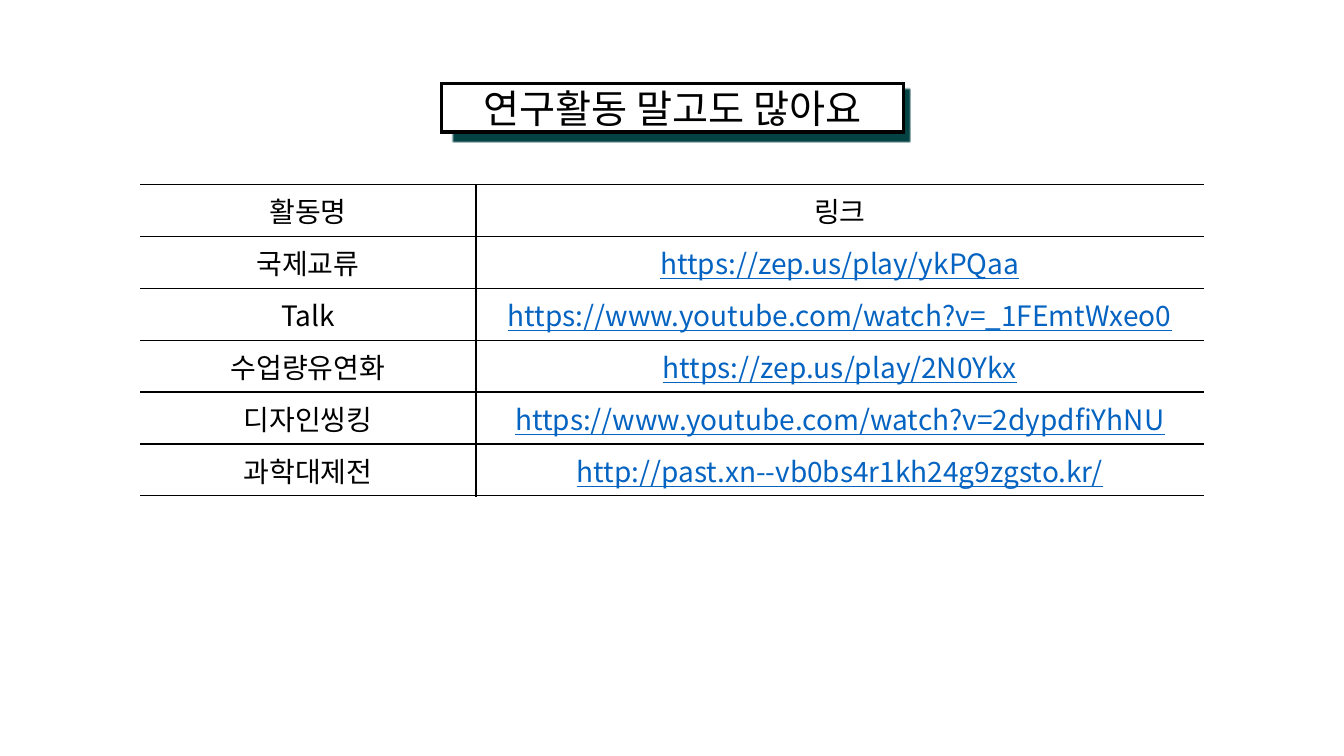
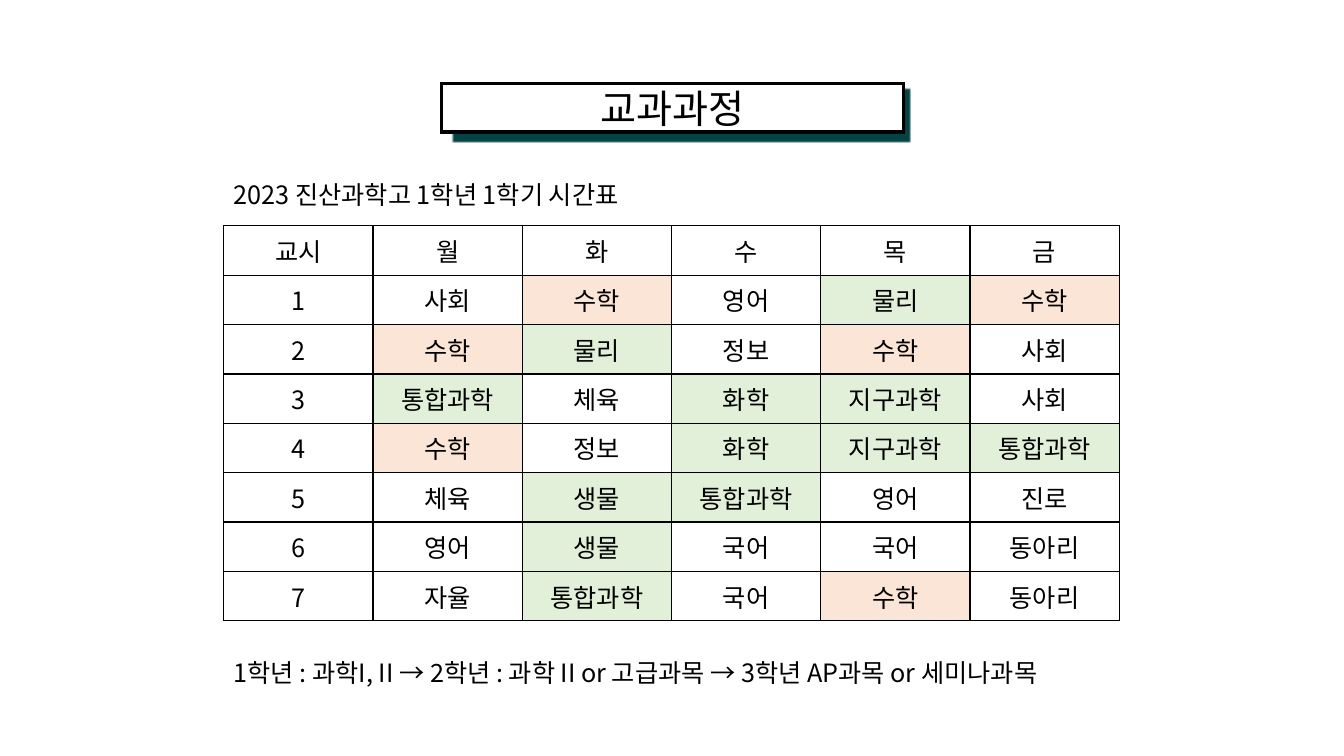
from lxml import etree
from pptx import Presentation
from pptx import util as u
from pptx.dml.color import RGBColor
from pptx.enum import shapes, text
from pptx.oxml import parse_xml
from pptx.oxml.ns import nsdecls, qn

# Shared style
FONT = "Noto Sans CJK KR"
BLACK = RGBColor(0x00, 0x00, 0x00)
WHITE = RGBColor(0xFF, 0xFF, 0xFF)
TITLE_LINE = RGBColor(0x01, 0x01, 0x02)
TITLE_SHADOW = RGBColor(0x05, 0x43, 0x44)
LINK_BLUE = RGBColor(0x05, 0x63, 0xC1)
MATH_PEACH = RGBColor(0xFB, 0xE5, 0xD6)
SCIENCE_GREEN = RGBColor(0xE2, 0xF0, 0xD9)
SIDES = ("L", "R", "T", "B")

# Slide content
ACTIVITIES = [
    ("활동명", "링크"),
    ("국제교류", "https://zep.us/play/ykPQaa"),
    ("Talk", "https://www.youtube.com/watch?v=_1FEmtWxeo0"),
    ("수업량유연화", "https://zep.us/play/2N0Ykx"),
    ("디자인씽킹", "https://www.youtube.com/watch?v=2dypdfiYhNU"),
    ("과학대제전", "http://past.xn--vb0bs4r1kh24g9zgsto.kr/"),
]
TIMETABLE = [
    ("교시", "월", "화", "수", "목", "금"),
    ("1", "사회", "수학", "영어", "물리", "수학"),
    ("2", "수학", "물리", "정보", "수학", "사회"),
    ("3", "통합과학", "체육", "화학", "지구과학", "사회"),
    ("4", "수학", "정보", "화학", "지구과학", "통합과학"),
    ("5", "체육", "생물", "통합과학", "영어", "진로"),
    ("6", "영어", "생물", "국어", "국어", "동아리"),
    ("7", "자율", "통합과학", "국어", "수학", "동아리"),
]
SUBJECT_FILLS = {"수학": MATH_PEACH}
SUBJECT_FILLS.update(dict.fromkeys(
    ("물리", "화학", "생물", "지구과학", "통합과학"), SCIENCE_GREEN))


def write(frame, content, size, align=text.PP_ALIGN.LEFT, color=BLACK):
    """Put one formatted paragraph into a text frame."""
    frame.text = content
    para = frame.paragraphs[0]
    para.alignment = align
    span = para.runs[0]
    span.font.size = u.Pt(size)
    span.font.name = FONT
    span.font.color.rgb = color
    east_asian = etree.SubElement(span.font._element, qn("a:ea"))
    east_asian.set("typeface", FONT)
    return span


def add_page(deck, title):
    """Add a blank page with the shadowed title box."""
    page = deck.slides.add_slide(deck.slide_layouts[6])
    box = page.shapes.add_shape(
        shapes.MSO_SHAPE.RECTANGLE,
        u.Inches(4.38), u.Inches(0.83), u.Inches(4.58), u.Inches(0.48))
    box.fill.solid()
    box.fill.fore_color.rgb = WHITE
    box.line.color.rgb = TITLE_LINE
    box.line.width = u.Pt(2.25)
    # Square corners for the outline
    outline = box._element.spPr.find(qn("a:ln"))
    etree.SubElement(outline, qn("a:miter")).set("lim", "800000")
    box.shadow.inherit = False
    effects = box._element.spPr.find(qn("a:effectLst"))
    effects.append(parse_xml(
        f'<a:outerShdw {nsdecls("a")} blurRad="{u.Pt(1)}" dist="{u.Pt(8)}" '
        f'dir="{40 * 60000}" sx="98000" algn="ctr" rotWithShape="0">'
        f'<a:srgbClr val="{TITLE_SHADOW}"/></a:outerShdw>'))
    box.text_frame.vertical_anchor = text.MSO_ANCHOR.MIDDLE
    write(box.text_frame, title, 28, text.PP_ALIGN.CENTER)
    return page


def add_note(page, top, width, content):
    """Add a wrapping line of text aligned with the timetable."""
    box = page.shapes.add_textbox(
        u.Inches(2.22), u.Inches(top), u.Inches(width), u.Inches(0.4))
    box.text_frame.word_wrap = True
    write(box.text_frame, content, 18)


def set_borders(cell, visible):
    """Draw the named sides of a cell and clear the others."""
    properties = cell._tc.get_or_add_tcPr()
    for side in SIDES:
        paint = (f'<a:solidFill><a:srgbClr val="{BLACK}"/></a:solidFill>'
                 if side in visible else "<a:noFill/>")
        properties.append(parse_xml(
            f'<a:ln{side} {nsdecls("a")} w="{u.Pt(1)}">{paint}</a:ln{side}>'))


def add_grid(page, left, top, widths, height, rows, size, outer_sides=True):
    """Add a centred table; outer_sides draws its left and right edges."""
    grid = page.shapes.add_table(
        len(rows), len(widths), u.Inches(left), u.Inches(top),
        u.Inches(sum(widths)), u.Inches(height)).table
    grid.first_row = grid.horz_banding = False
    for column, width in zip(grid.columns, widths):
        column.width = u.Inches(width)
    last = len(widths) - 1
    for row_index, row in enumerate(rows):
        for index, content in enumerate(row):
            cell = grid.cell(row_index, index)
            visible = {"T", "B"}
            if outer_sides or index > 0:
                visible.add("L")
            if outer_sides or index < last:
                visible.add("R")
            set_borders(cell, visible)
            fill = SUBJECT_FILLS.get(content)
            if fill is None:
                cell.fill.background()
            else:
                cell.fill.solid()
                cell.fill.fore_color.rgb = fill
            cell.vertical_anchor = text.MSO_ANCHOR.MIDDLE
            is_link = content.startswith("http")
            span = write(cell.text_frame, content, size, text.PP_ALIGN.CENTER,
                         LINK_BLUE if is_link else BLACK)
            if is_link:
                span.font.underline = True


def main():
    deck = Presentation()
    deck.slide_width, deck.slide_height = u.Inches(13.33), u.Inches(7.5)

    # Activities and links
    page = add_page(deck, "연구활동 말고도 많아요")
    add_grid(page, 1.39, 1.83, [3.33, 7.22], 3.09, ACTIVITIES, 20,
             outer_sides=False)

    # Timetable
    page = add_page(deck, "교과과정")
    add_grid(page, 2.22, 2.24, [1.48] * 6, 3.92, TIMETABLE, 18)
    add_note(page, 1.73, 4.42, "2023 진산과학고 1학년 1학기 시간표")
    add_note(page, 6.47, 8.72,
             "1학년 : 과학I, II → 2학년 : 과학 II or 고급과목 → "
             "3학년 AP과목 or 세미나과목")

    deck.save("out.pptx")


if __name__ == "__main__":
    main()
